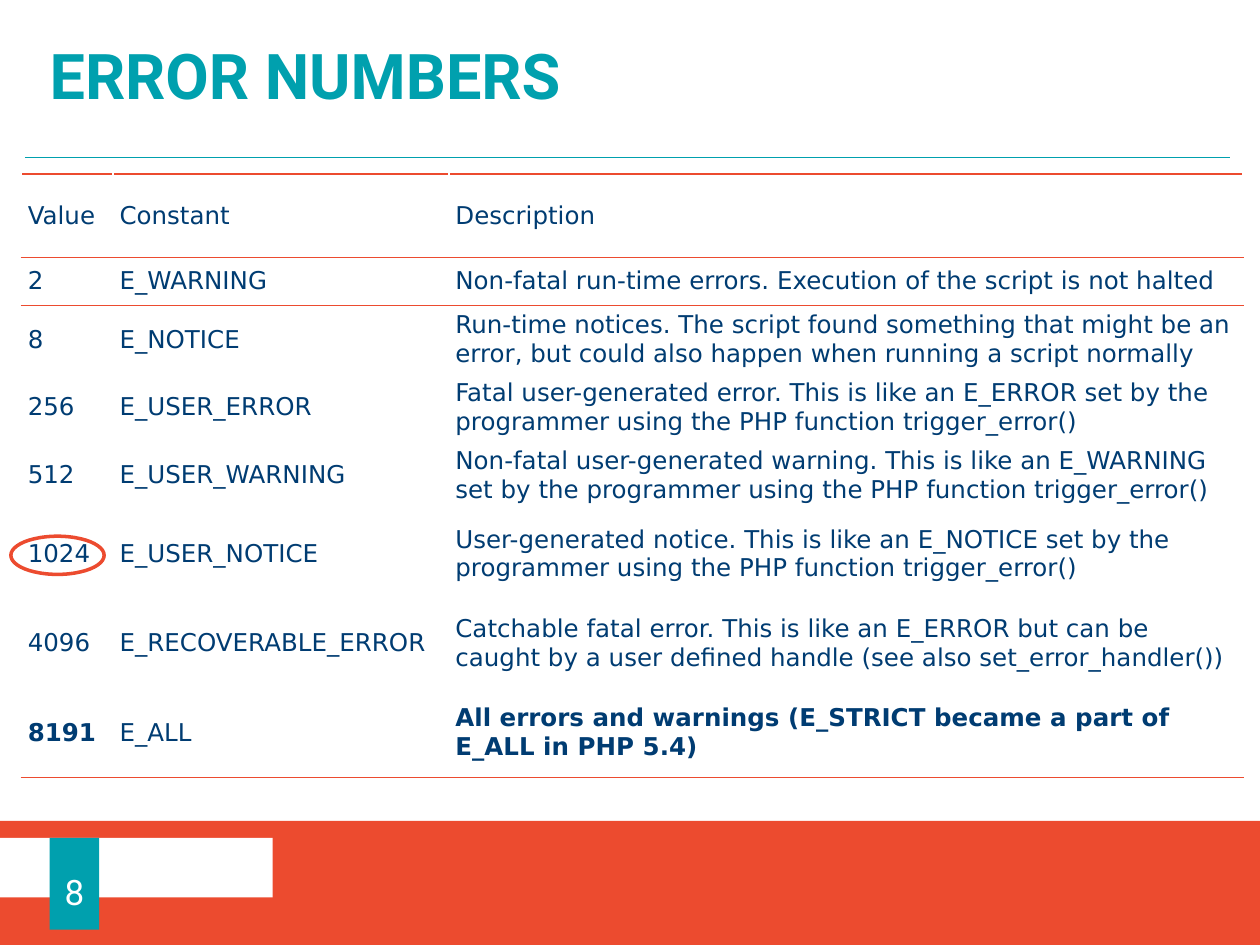
from dataclasses import dataclass

from lxml import etree
from pptx import Presentation
from pptx import util as u
from pptx.dml import color
from pptx.enum import shapes, text
from pptx.oxml import ns


@dataclass(frozen=True)
class Theme:
    red: str = "EC4B2F"
    teal: str = "00A0AE"
    navy: str = "003C72"
    white: str = "FFFFFF"
    heading_font: str = "Roboto"
    table_font: str = "DejaVu Sans"
    title_size: int = 36
    number_size: int = 20
    table_size: int = 14


THEME = Theme()
COLUMN_WIDTHS = (1.85, 6.77, 16.01)
ROW_HEIGHTS = (1.68, 0.97, 1.37, 1.37, 1.37, 1.8, 1.8, 1.8)
RULES_ABOVE = {0, 1, 2, 8}
BOLD_CELLS = {(7, 0), (7, 2)}
ERRORS = (
    ("Value", "Constant", "Description"),
    ("2", "E_WARNING",
     "Non-fatal run-time errors. Execution of the script is not halted"),
    ("8", "E_NOTICE",
     "Run-time notices. The script found something that might be an error, "
     "but could also happen when running a script normally"),
    ("256", "E_USER_ERROR",
     "Fatal user-generated error. This is like an E_ERROR set by the "
     "programmer using the PHP function trigger_error()"),
    ("512", "E_USER_WARNING",
     "Non-fatal user-generated warning. This is like an E_WARNING set by the "
     "programmer using the PHP function trigger_error()"),
    ("1024", "E_USER_NOTICE",
     "User-generated notice. This is like an E_NOTICE set by the "
     "programmer using the PHP function trigger_error()"),
    ("4096", "E_RECOVERABLE_ERROR",
     "Catchable fatal error. This is like an E_ERROR but can be caught by a "
     "user defined handle (see also set_error_handler())"),
    ("8191", "E_ALL",
     "All errors and warnings (E_STRICT became a part of E_ALL in PHP 5.4)"),
)


def rgb(value):
    return color.RGBColor.from_string(value)


def cm(*lengths):
    return [u.Cm(length) for length in lengths]


def set_font(paragraph, name, size, value, bold=False):
    font = paragraph.font
    font.name, font.size, font.bold = name, u.Pt(size), bold
    font.color.rgb = rgb(value)


def set_insets(frame, left, top, right, bottom):
    frame.margin_left, frame.margin_top, frame.margin_right, frame.margin_bottom = cm(
        left, top, right, bottom)


def add_figure(slide, kind, box, fill=None, line=None):
    figure = slide.shapes.add_shape(kind, *cm(*box))
    figure.shadow.inherit = False
    if fill:
        figure.fill.solid()
        figure.fill.fore_color.rgb = rgb(fill)
    else:
        figure.fill.background()
    if line:
        figure.line.color.rgb = rgb(line)
        figure.line.width = u.Pt(2)
    else:
        figure.line.fill.background()
    return figure


def add_title(slide, wording):
    title = slide.shapes.title
    title.left, title.top, title.width, title.height = cm(0, 0, 25.4, 3.18)
    frame = title.text_frame
    frame.text = wording
    frame.auto_size = text.MSO_AUTO_SIZE.NONE
    frame.vertical_anchor = text.MSO_ANCHOR.MIDDLE
    set_insets(frame, 1, 0.5, 1, 0.4)
    paragraph = frame.paragraphs[0]
    paragraph.alignment = text.PP_ALIGN.LEFT
    paragraph.line_spacing = 0.8
    set_font(paragraph, THEME.heading_font, THEME.title_size, THEME.teal, bold=True)


def add_title_rule(slide):
    rule = slide.shapes.add_connector(
        shapes.MSO_CONNECTOR.STRAIGHT, *cm(0.5, 3.18, 24.8, 3.18))
    rule.line.color.rgb = rgb(THEME.teal)
    rule.line.width = u.Pt(0.5)
    etree.SubElement(rule._element.spPr, ns.qn("a:effectLst"))


def add_border(cell, side):
    border = etree.SubElement(
        cell._tc.get_or_add_tcPr(), ns.qn(f"a:{side}"), w=str(u.Pt(1)))
    fill = etree.SubElement(border, ns.qn("a:solidFill"))
    etree.SubElement(fill, ns.qn("a:srgbClr"), val=THEME.red)


def fill_cell(cell, wording, row, bold):
    cell.text = wording
    cell.vertical_anchor = text.MSO_ANCHOR.MIDDLE
    set_insets(cell, 0.13, 0.08, 0.13, 0.08)
    for side, edge in (("lnT", row), ("lnB", row + 1)):
        if edge in RULES_ABOVE:
            add_border(cell, side)
    cell.fill.solid()
    cell.fill.fore_color.rgb = rgb(THEME.white)
    set_font(cell.text_frame.paragraphs[0], THEME.table_font, THEME.table_size,
             THEME.navy, bold)


def add_error_table(slide):
    box = cm(0.43, 3.51, sum(COLUMN_WIDTHS), sum(ROW_HEIGHTS))
    table = slide.shapes.add_table(len(ERRORS), len(COLUMN_WIDTHS), *box).table
    table.first_row = table.horz_banding = False
    for column, width in zip(table.columns, COLUMN_WIDTHS):
        column.width = u.Cm(width)
    for row, height in zip(table.rows, ROW_HEIGHTS):
        row.height = u.Cm(height)
    for r, entry in enumerate(ERRORS):
        for c, wording in enumerate(entry):
            fill_cell(table.cell(r, c), wording, r, (r, c) in BOLD_CELLS)


def add_page_number(slide, number):
    tab = add_figure(slide, shapes.MSO_SHAPE.RECTANGLE, (1, 16.89, 1, 1.85), THEME.teal)
    frame = tab.text_frame
    frame.text = number
    frame.word_wrap = False
    frame.vertical_anchor = text.MSO_ANCHOR.MIDDLE
    set_insets(frame, 0, 0.3, 0, 0)
    paragraph = frame.paragraphs[0]
    paragraph.alignment = text.PP_ALIGN.CENTER
    set_font(paragraph, THEME.heading_font, THEME.number_size, THEME.white)


def main():
    deck = Presentation()
    deck.slide_width, deck.slide_height = cm(25.4, 19.05)
    slide = deck.slides.add_slide(deck.slide_layouts[5])
    rectangle = shapes.MSO_SHAPE.RECTANGLE
    add_figure(slide, rectangle, (0, 16.55, 25.4, 2.5), THEME.red)
    add_figure(slide, rectangle, (0, 16.89, 5.5, 1.2), THEME.white)
    add_title_rule(slide)
    add_error_table(slide)
    add_title(slide, "ERROR NUMBERS")
    add_page_number(slide, "8")
    add_figure(slide, shapes.MSO_SHAPE.OVAL, (0.22, 10.81, 1.88, 0.77), line=THEME.red)
    deck.save("out.pptx")


if __name__ == "__main__":
    main()
